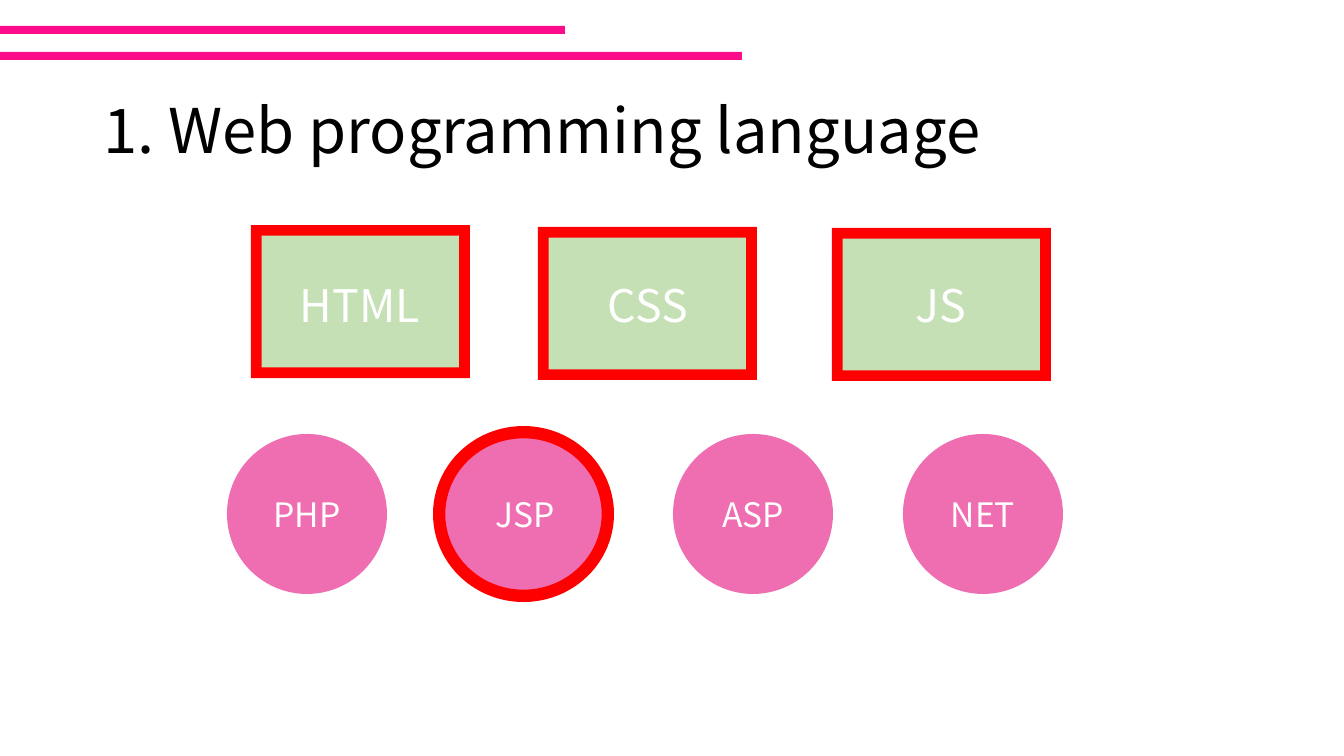
from pptx import Presentation
from pptx import util as u
from pptx.dml.color import RGBColor
from pptx.enum import shapes, text

EMU_PER_PX = 914400 / 100.8
PINK, ORCHID, GREEN, RED = "FC0C8A", "EE6EB1", "C5E0B4", "FF0000"
KIND = shapes.MSO_SHAPE


def write(shape, words, size, color="FFFFFF", align=text.PP_ALIGN.CENTER, spacing=1.0):
    frame = shape.text_frame
    frame.word_wrap = True
    frame.vertical_anchor = text.MSO_ANCHOR.MIDDLE
    paragraph = frame.paragraphs[0]
    paragraph.alignment = align
    paragraph.line_spacing = spacing
    run = paragraph.add_run()
    run.text = words
    run.font.name = "Noto Sans CJK KR"
    run.font.size = u.Pt(size)
    run.font.color.rgb = RGBColor.from_string(color)


def add_filled(kind, box, color):
    shape = slide.shapes.add_shape(kind, *[round(px * EMU_PER_PX) for px in box])
    shape.shadow.inherit = False
    shape.fill.solid()
    shape.fill.fore_color.rgb = RGBColor.from_string(color)
    shape.line.fill.background()
    return shape


presentation = Presentation()
presentation.slide_width = round(1344 * EMU_PER_PX)
presentation.slide_height = round(756 * EMU_PER_PX)
slide = presentation.slides.add_slide(presentation.slide_layouts[5])

title = slide.shapes.title
title.left, title.top, title.width, title.height = [
    round(px * EMU_PER_PX) for px in (93, 61, 1159, 146)]
write(title, "1. Web programming language", 44, color="000000",
      align=text.PP_ALIGN.LEFT, spacing=0.9)

for top, width in ((26, 565), (52, 742)):
    add_filled(KIND.RECTANGLE, (0, top, width, 8), PINK)

for left, language in ((227, "PHP"), (445, "JSP"), (673, "ASP"), (903, "NET")):
    circle = add_filled(KIND.OVAL, (left, 434, 160, 160), ORCHID)
    write(circle, language, 24)

for left, language in ((251, "HTML"), (539, "CSS"), (832, "JS")):
    card = add_filled(KIND.ROUNDED_RECTANGLE, (left, 232, 218, 146), GREEN)
    write(card, language, 32)

highlights = (
    (KIND.DONUT, (433, 426, 181, 176)),
    (KIND.FRAME, (251, 225, 219, 153)),
    (KIND.FRAME, (538, 227, 219, 153)),
    (KIND.FRAME, (832, 228, 219, 153)),
)
for kind, box in highlights:
    highlight = add_filled(kind, box, RED)
    highlight.adjustments[0] = 0.07

presentation.save("out.pptx")
